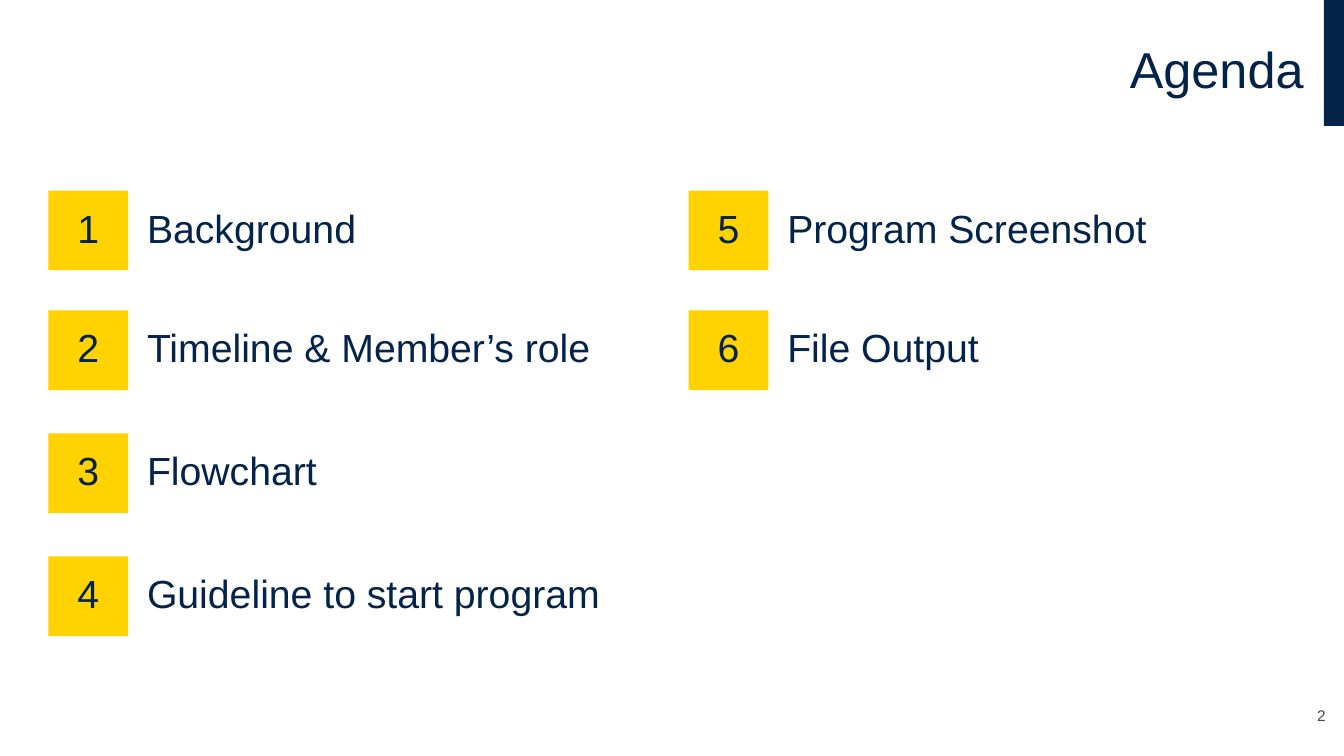
from dataclasses import dataclass

from pptx import Presentation
from pptx import util as u
from pptx.dml.color import RGBColor
from pptx.enum import shapes, text

NAVY = RGBColor(0x03, 0x23, 0x4B)
YELLOW = RGBColor(0xFF, 0xD2, 0x00)
GREY = RGBColor(0x46, 0x46, 0x50)

ROW_TOPS = (1.89, 3.08, 4.3, 5.52)
COLUMN_LEFTS = (0.48, 6.83)
BADGE_SIZE = 0.79
LABEL_OFFSET = 0.88
LABEL_WIDTH = 5.19
TOPICS = (
    "Background",
    "Timeline & Member’s role",
    "Flowchart",
    "Guideline to start program",
    "Program Screenshot",
    "File Output",
)


@dataclass(frozen=True)
class TextStyle:
    """Look of a one-paragraph text."""

    size: float
    color: RGBColor = NAVY
    align: text.PP_ALIGN = text.PP_ALIGN.LEFT
    anchor: text.MSO_ANCHOR = text.MSO_ANCHOR.MIDDLE
    side_inset: float = 0.1
    end_inset: float = 0.05
    line_spacing: float = 0.9
    space_before: float = 0


TITLE = TextStyle(36, align=text.PP_ALIGN.RIGHT)
NUMBER = TextStyle(28, align=text.PP_ALIGN.CENTER, side_inset=0, end_inset=0,
                   space_before=10)
LABEL = TextStyle(28)
PAGE_NUMBER = TextStyle(11, GREY, text.PP_ALIGN.RIGHT, text.MSO_ANCHOR.BOTTOM,
                        side_inset=0, line_spacing=1)


def inches(*lengths: float) -> list[u.Length]:
    """Convert plain numbers to lengths."""
    return [u.Inches(length) for length in lengths]


def write(shape, words: str, style: TextStyle) -> None:
    """Put one styled paragraph into a shape."""
    frame = shape.text_frame
    frame.text = words
    frame.word_wrap = True
    frame.auto_size = text.MSO_AUTO_SIZE.NONE
    frame.vertical_anchor = style.anchor
    frame.margin_left = frame.margin_right = u.Inches(style.side_inset)
    frame.margin_top = frame.margin_bottom = u.Inches(style.end_inset)
    para = frame.paragraphs[0]
    para.alignment = style.align
    para.line_spacing = style.line_spacing
    para.space_before = u.Pt(style.space_before)
    para.font.name = "Arial"
    para.font.size = u.Pt(style.size)
    para.font.color.rgb = style.color


def add_block(page, color: RGBColor, *place: float):
    """Add a plain filled rectangle at left, top, width, height."""
    block = page.shapes.add_shape(shapes.MSO_SHAPE.RECTANGLE, *inches(*place))
    block.shadow.inherit = False
    block.fill.solid()
    block.fill.fore_color.rgb = color
    block.line.fill.background()
    return block


def add_text(page, words: str, style: TextStyle, *place: float) -> None:
    """Add a text box at left, top, width, height."""
    write(page.shapes.add_textbox(*inches(*place)), words, style)


def add_title(page, words: str) -> None:
    """Move and fill the title placeholder."""
    title = page.shapes.title
    title.left, title.top, title.width, title.height = inches(0.33, 0, 12.7, 1.43)
    write(title, words, TITLE)


def add_topic(page, index: int, topic: str) -> None:
    """Add a numbered badge and its label, filling columns downwards."""
    column, row = divmod(index, len(ROW_TOPS))
    left, top = COLUMN_LEFTS[column], ROW_TOPS[row]
    badge = add_block(page, YELLOW, left, top, BADGE_SIZE, BADGE_SIZE)
    write(badge, str(index + 1), NUMBER)
    add_text(page, topic, LABEL, left + LABEL_OFFSET, top, LABEL_WIDTH, BADGE_SIZE)


def main() -> None:
    """Build the agenda slide."""
    deck = Presentation()
    deck.slide_width, deck.slide_height = inches(13.33, 7.5)
    page = deck.slides.add_slide(deck.slide_layouts.get_by_name("Title Only"))
    add_block(page, NAVY, 13.13, 0, 0.2, 1.25)
    add_title(page, "Agenda")
    for index, topic in enumerate(TOPICS):
        add_topic(page, index, topic)
    add_text(page, "2", PAGE_NUMBER, 12.7, 6.92, 0.45, 0.32)
    deck.save("out.pptx")


main()
